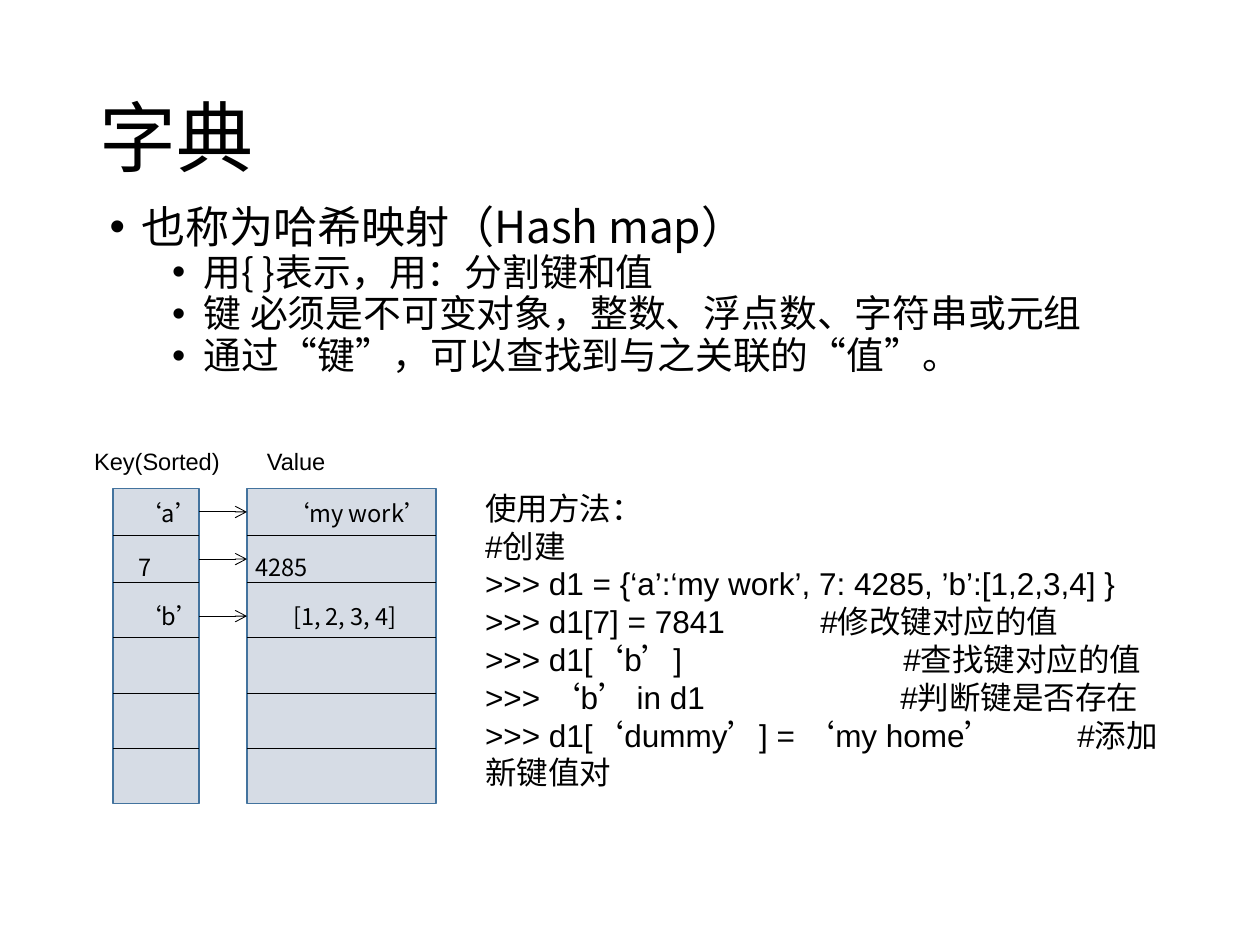
from dataclasses import dataclass
from itertools import accumulate

from lxml import etree
from pptx import Presentation
from pptx import util as u
from pptx.dml import color
from pptx.enum import shapes, text
from pptx.oxml import ns


@dataclass(frozen=True)
class Theme:
    ink: str = "000000"
    cell: str = "D6DCE5"
    edge: str = "43739E"
    latin: str = "Arial"
    cjk: str = "Noto Sans CJK SC"
    title: float = 44
    lead: float = 25.2
    point: float = 21.6
    code: float = 18
    label: float = 13.5


THEME = Theme()
ROW_HEIGHTS = [0.95, 0.95, 1.11, 1.11, 1.11, 1.12]
POINTS = [
    "用{ }表示，用：分割键和值",
    "键 必须是不可变对象，整数、浮点数、字符串或元组",
    "通过“键”，可以查找到与之关联的“值”。",
]
ENTRIES = [
    ("‘a’", "‘my work’", 0.08, 0.47, 2.98),
    ("7", "4285", 1.17, 1.42, 2.36),
    ("‘b’", "[1, 2, 3, 4]", 2.16, 2.57, 3.12),
]
CODE = [
    ("使用方法：", "", 0),
    ("#创建", "", 0),
    (">>> d1 = {‘a’:‘my work’, 7: 4285, ’b’:[1,2,3,4] }", "", 0),
    (">>> d1[7] = 7841", "#修改键对应的值", 6.76),
    (">>> d1[‘b’]", "#查找键对应的值", 8.43),
    (">>> ‘b’ in d1", "#判断键是否存在", 8.37),
    (">>> d1[‘dummy’] = ‘my home’", "#添加新键值对", 11.94),
]


def rgb(value):
    return color.RGBColor.from_string(value)


def add_span(para, words, size, font):
    span = para.add_run()
    span.text = words
    span.font.size = u.Pt(size)
    span.font.name = font
    span.font.color.rgb = rgb(THEME.ink)
    east = etree.SubElement(span.font._element, ns.qn("a:ea"))
    east.set("typeface", THEME.cjk)


def add_box(page, left, top, width, height):
    box = page.shapes.add_textbox(u.Cm(left), u.Cm(top), u.Cm(width), u.Cm(height))
    box.text_frame.word_wrap = True
    return box.text_frame


def next_para(frame, index):
    return frame.add_paragraph() if index else frame.paragraphs[0]


def add_tabbed(para, first, second, stop, size, font):
    add_span(para, first, size, font)
    if second:
        add_span(para, "\t" + second, size, font)
        stops = etree.SubElement(para._p.get_or_add_pPr(), ns.qn("a:tabLst"))
        etree.SubElement(stops, ns.qn("a:tab"), pos=str(u.Cm(stop)), algn="l")


def add_line(parent, start, end, arrow=False):
    line = parent.add_connector(
        shapes.MSO_CONNECTOR.STRAIGHT, *(u.Cm(value) for value in start + end)
    )
    line.line.color.rgb = rgb(THEME.ink)
    line.line.width = u.Pt(0.5)
    if arrow:
        etree.SubElement(line.line._get_or_add_ln(), ns.qn("a:tailEnd"), type="arrow")
    etree.SubElement(line._element.spPr, ns.qn("a:effectLst"))


def place_title(page, left, top, width, height):
    title = page.shapes.title
    title.left, title.top = u.Cm(left), u.Cm(top)
    title.width, title.height = u.Cm(width), u.Cm(height)
    title.text_frame.vertical_anchor = text.MSO_ANCHOR.MIDDLE
    para = title.text_frame.paragraphs[0]
    para.alignment = text.PP_ALIGN.LEFT
    para.line_spacing = 0.9
    add_span(para, "字典", THEME.title, THEME.cjk)


def place_points(page, left, top, width, height):
    frame = add_box(page, left, top, width, height)
    for index, words in enumerate(["也称为哈希映射（Hash map）", *POINTS]):
        para = next_para(frame, index)
        para.level = min(index, 1)
        para.line_spacing = 0.9
        para.space_before = u.Pt(0.5 if index else 0)
        props = para._p.get_or_add_pPr()
        props.set("marL", str(u.Cm(1.9 if index else 0.64)))
        props.set("indent", str(u.Cm(-0.64)))
        etree.SubElement(props, ns.qn("a:buFont"), typeface=THEME.latin)
        etree.SubElement(props, ns.qn("a:buChar"), char="•")
        add_span(para, words, THEME.point if index else THEME.lead, THEME.cjk)


def place_column(page, left, top, width, height):
    group = page.shapes.add_group_shape().shapes
    column = group.add_shape(
        shapes.MSO_SHAPE.RECTANGLE, u.Cm(left), u.Cm(top), u.Cm(width), u.Cm(height)
    )
    column.shadow.inherit = False
    column.fill.solid()
    column.fill.fore_color.rgb = rgb(THEME.cell)
    column.line.color.rgb = rgb(THEME.edge)
    column.line.width = u.Pt(1)
    for offset in accumulate(ROW_HEIGHTS[:-1]):
        add_line(group, (left, top + offset), (left + width, top + offset))


def place_map(page, left, top, width, height):
    key_width, value_width = 1.74, 3.81
    value_left = left + width - value_width
    place_column(page, left, top, key_width, height)
    place_column(page, value_left, top, value_width, height)
    headings = [("Key(Sorted)", left - 0.63, 3.18), ("Value", value_left + 0.15, 1.75)]
    for words, heading_left, heading_width in headings:
        frame = add_box(page, heading_left, top - 0.96, heading_width, 0.84)
        add_span(frame.paragraphs[0], words, THEME.label, THEME.latin)
    for key, value, text_top, arrow_top, stop in ENTRIES:
        arrow_y = top + arrow_top
        add_line(page.shapes, (left + key_width, arrow_y), (value_left, arrow_y), True)
        frame = add_box(page, left + 0.26, top + text_top, 6.9, 0.84)
        add_tabbed(frame.paragraphs[0], key, value, stop, THEME.label, THEME.cjk)


def place_code(page, left, top, width, height):
    frame = add_box(page, left, top, width, height)
    for index, (command, note, stop) in enumerate(CODE):
        para = next_para(frame, index)
        add_tabbed(para, command, note, stop, THEME.code, THEME.latin)


def main():
    deck = Presentation()
    deck.slide_width, deck.slide_height = u.Cm(25.4), u.Cm(19.05)
    page = deck.slides.add_slide(deck.slide_layouts.get_by_name("Title Only"))
    place_title(page, 1.75, 1.02, 21.9, 3.68)
    place_points(page, 1.96, 4.01, 21.9, 4.47)
    place_map(page, 2.28, 9.85, 6.51, 6.35)
    place_code(page, 9.53, 9.73, 14.35, 5.64)
    deck.save("out.pptx")


if __name__ == "__main__":
    main()
